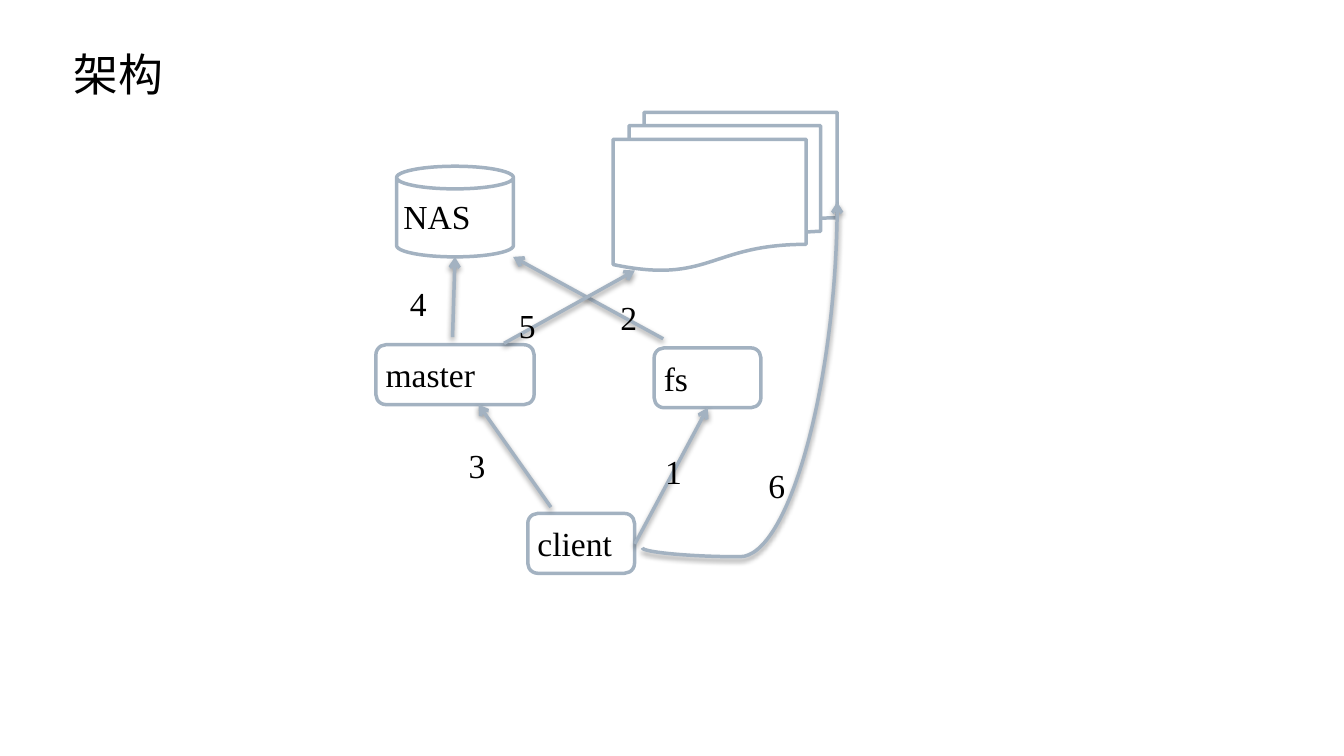
"""Builds the architecture slide: client, master, fs, NAS and documents."""
from dataclasses import dataclass

from lxml.etree import SubElement
from pptx import Presentation
from pptx.dml.color import RGBColor
from pptx.enum.shapes import MSO_CONNECTOR, MSO_SHAPE
from pptx.enum.text import MSO_ANCHOR, MSO_AUTO_SIZE, PP_ALIGN
from pptx.oxml import parse_xml
from pptx.oxml.ns import nsdecls, qn
from pptx.util import Pt


@dataclass(frozen=True)
class Theme:
    ink: RGBColor = RGBColor(0, 0, 0)
    paper: RGBColor = RGBColor(255, 255, 255)
    edge: RGBColor = RGBColor(0xA3, 0xB2, 0xC1)
    title_font: str = "Roboto"
    body_font: str = "Times New Roman"
    title_size: float = 64
    body_size: float = 48
    edge_width: float = 5
    inset: float = 9.6


THEME = Theme()
TITLE = ("架构", (96, 43, 1424, 110))
NODES = [
    (MSO_SHAPE.FLOWCHART_MULTIDOCUMENT, "", (876, 160.5, 320, 226)),
    (MSO_SHAPE.ROUNDED_RECTANGLE, "master", (537, 492.5, 226, 85.5)),
    (MSO_SHAPE.ROUNDED_RECTANGLE, "fs", (934.5, 497, 152.5, 85.5)),
    (MSO_SHAPE.CAN, "NAS", (566.5, 237.5, 167, 129.5)),
    (MSO_SHAPE.ROUNDED_RECTANGLE, "client", (754, 733.5, 152.5, 85.5)),
]
ARROWS = [
    ((787, 724.5), (683.5, 578)),
    ((907, 777), (1011, 582.5)),
    ((947.5, 484), (733, 367)),
    ((646.5, 481.5), (650, 367)),
    ((720, 490.5), (907, 386.5)),
]
CURVE = ((917.5, 782.5), (1196, 288.5))
CURVE_BEND = -2600
LABELS = [
    ("1", 940.5, 635, 70.5),
    ("2", 876.5, 414.5, 87),
    ("3", 660, 625.5, 126),
    ("4", 576, 394.5, 71.5),
    ("5", 731.5, 426, 57.5),
    ("6", 1088, 655, 108),
]
LABEL_HEIGHT = 77
SHADOW = (
    f'<a:effectLst {nsdecls("a")}><a:outerShdw blurRad="{Pt(8)}" dist="{Pt(4)}" '
    'dir="5400000" rotWithShape="0"><a:srgbClr val="000000">'
    '<a:alpha val="38000"/></a:srgbClr></a:outerShdw></a:effectLst>'
)


def pts(values):
    return [Pt(v) for v in values]


def write(shape, text, font, size, anchor=MSO_ANCHOR.TOP, fit=MSO_AUTO_SIZE.SHAPE_TO_FIT_TEXT):
    tf = shape.text_frame
    tf.word_wrap = True
    tf.auto_size = fit
    tf.vertical_anchor = anchor
    tf.margin_left = tf.margin_right = tf.margin_top = tf.margin_bottom = Pt(THEME.inset)
    p = tf.paragraphs[0]
    p.alignment = PP_ALIGN.LEFT
    r = p.add_run()
    r.text = text
    r.font.name, r.font.size = font, Pt(size)
    r.font.color.rgb = THEME.ink


def outline(shape):
    shape.line.color.rgb = THEME.edge
    shape.line.width = Pt(THEME.edge_width)


def add_node(s, kind, text, box):
    sp = s.shapes.add_shape(kind, *pts(box))
    sp.shadow.inherit = False
    sp.fill.solid()
    sp.fill.fore_color.rgb = THEME.paper
    outline(sp)
    if text:
        write(sp, text, THEME.body_font, THEME.body_size)


def add_arrow(s, start, end, kind=MSO_CONNECTOR.STRAIGHT):
    cx = s.shapes.add_connector(kind, *pts(start + end))
    outline(cx)
    SubElement(cx.line._get_or_add_ln(), qn("a:tailEnd"), type="arrow")
    cx._element.spPr.append(parse_xml(SHADOW))
    return cx


def add_upward_curve(s, start, end):
    (x1, y1), (x2, y2) = start, end
    mid_x, mid_y = (x1 + x2) / 2, (y1 + y2) / 2
    half_w, half_h = (y1 - y2) / 2, (x2 - x1) / 2
    cx = add_arrow(s, (mid_x - half_w, mid_y - half_h),
                   (mid_x + half_w, mid_y + half_h), MSO_CONNECTOR.CURVE)
    spPr = cx._element.spPr
    spPr.find(qn("a:xfrm")).set("rot", str(270 * 60000))
    guides = spPr.find(qn("a:prstGeom")).find(qn("a:avLst"))
    SubElement(guides, qn("a:gd"), name="adj1", fmla=f"val {CURVE_BEND}")


def main():
    prs = Presentation()
    prs.slide_width, prs.slide_height = Pt(1920), Pt(1080)
    s = prs.slides.add_slide(prs.slide_layouts[5])
    text, box = TITLE
    title = s.shapes.title
    title.left, title.top, title.width, title.height = pts(box)
    write(title, text, THEME.title_font, THEME.title_size, MSO_ANCHOR.BOTTOM, MSO_AUTO_SIZE.NONE)
    for node in NODES:
        add_node(s, *node)
    for start, end in ARROWS:
        add_arrow(s, start, end)
    add_upward_curve(s, *CURVE)
    for text, x, y, w in LABELS:
        label = s.shapes.add_textbox(*pts((x, y, w, LABEL_HEIGHT)))
        write(label, text, THEME.body_font, THEME.body_size)
    prs.save("out.pptx")


if __name__ == "__main__":
    main()
